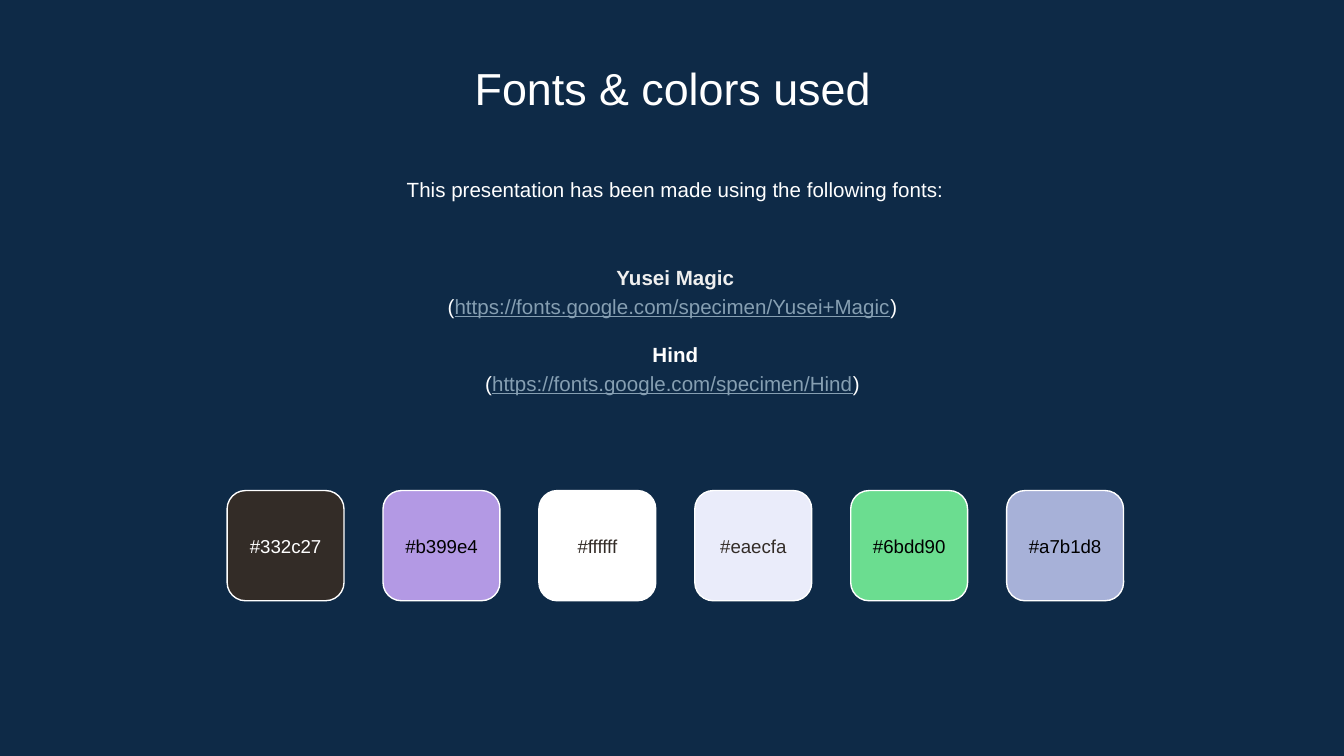
from dataclasses import dataclass

from pptx import Presentation
from pptx.dml.color import RGBColor
from pptx.enum import shapes, text
from pptx.util import Inches, Pt


@dataclass(frozen=True)
class Theme:
    font: str = "Arial"
    background: str = "0E2A47"
    white: str = "FFFFFF"
    pale: str = "EFEFEF"
    link: str = "869FB2"
    dark: str = "332C27"
    black: str = "000000"
    title_size: float = 24
    body_size: float = 11
    label_size: float = 10


theme = Theme()


def add_text_box(slide, left, top, width, height, anchor):
    box = slide.shapes.add_textbox(Inches(left), Inches(top), Inches(width), Inches(height))
    frame = box.text_frame
    frame.word_wrap = True
    frame.vertical_anchor = anchor
    frame.margin_left = frame.margin_right = Inches(0.1)
    frame.margin_top = frame.margin_bottom = Inches(0.1)
    frame.paragraphs[0].alignment = text.PP_ALIGN.CENTER
    return frame


def add_run(paragraph, content, size, color, bold=False, underline=False):
    run = paragraph.add_run()
    run.text = content
    run.font.name = theme.font
    run.font.size = Pt(size)
    run.font.color.rgb = RGBColor.from_string(color)
    run.font.bold = bold
    run.font.underline = underline


presentation = Presentation()
presentation.slide_width = Inches(10)
presentation.slide_height = Inches(10 * 9 / 16)
slide = presentation.slides.add_slide(presentation.slide_layouts[6])
slide.background.fill.solid()
slide.background.fill.fore_color.rgb = RGBColor.from_string(theme.background)

intro = add_text_box(slide, 1.17, 1.19, 7.71, 0.48, text.MSO_ANCHOR.TOP)
intro.paragraphs[0].line_spacing = 1.15
add_run(intro.paragraphs[0], "This presentation has been made using the following fonts:",
        theme.body_size, theme.white)

fonts_used = [
    ("Yusei Magic", "https://fonts.google.com/specimen/Yusei+Magic", theme.pale),
    ("Hind", "https://fonts.google.com/specimen/Hind", theme.white),
]
font_list = add_text_box(slide, 1.17, 1.76, 7.71, 1.37, text.MSO_ANCHOR.MIDDLE)
for index, (name, address, name_color) in enumerate(fonts_used):
    heading = font_list.add_paragraph() if index else font_list.paragraphs[0]
    if index:
        heading.space_before = Pt(11)
    add_run(heading, name, theme.body_size, name_color, bold=True)
    source = font_list.add_paragraph()
    add_run(source, "(", theme.body_size, theme.white)
    add_run(source, address, theme.body_size, theme.link, underline=True)
    add_run(source, ") ", theme.body_size, theme.white)
    for paragraph in (heading, source):
        paragraph.alignment = text.PP_ALIGN.CENTER
        paragraph.line_spacing = 1.15

title = add_text_box(slide, 1.15, 0.35, 7.71, 0.53, text.MSO_ANCHOR.TOP)
add_run(title.paragraphs[0], "Fonts & colors used", theme.title_size, theme.white)

swatches = [
    ("#332c27", theme.white),
    ("#b399e4", theme.black),
    ("#ffffff", theme.dark),
    ("#eaecfa", theme.dark),
    ("#6bdd90", theme.black),
    ("#a7b1d8", theme.black),
]
swatch_left, swatch_pitch, swatch_width = 1.69, 1.16, 0.87
for index, (code, label_color) in enumerate(swatches):
    left = swatch_left + index * swatch_pitch
    swatch = slide.shapes.add_shape(
        shapes.MSO_SHAPE.ROUNDED_RECTANGLE,
        Inches(left), Inches(3.65), Inches(swatch_width), Inches(0.82))
    swatch.shadow.inherit = False
    swatch.fill.solid()
    swatch.fill.fore_color.rgb = RGBColor.from_string(code[1:].upper())
    swatch.line.color.rgb = RGBColor.from_string(theme.white)
    swatch.line.width = Pt(0.75)
    label = add_text_box(slide, left, 3.82, swatch_width, 0.48, text.MSO_ANCHOR.MIDDLE)
    add_run(label.paragraphs[0], code, theme.label_size, label_color)

presentation.save("out.pptx")
